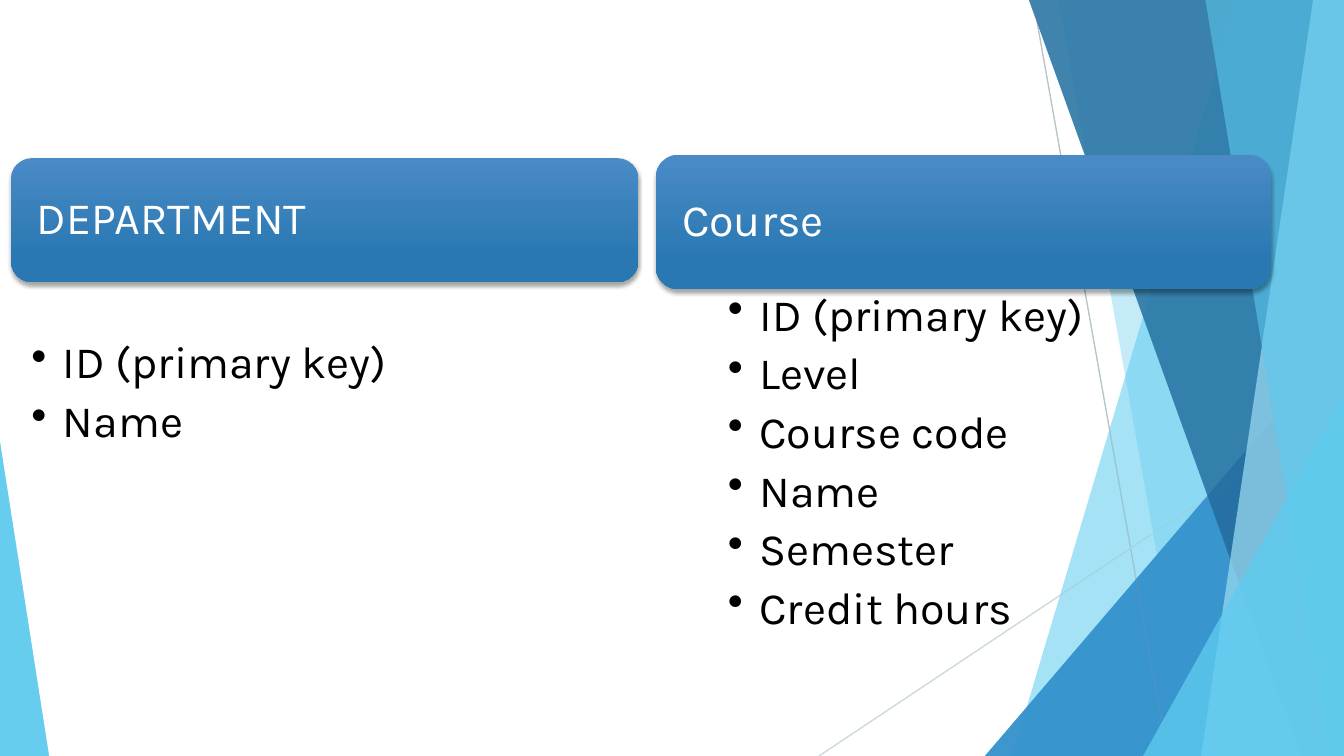
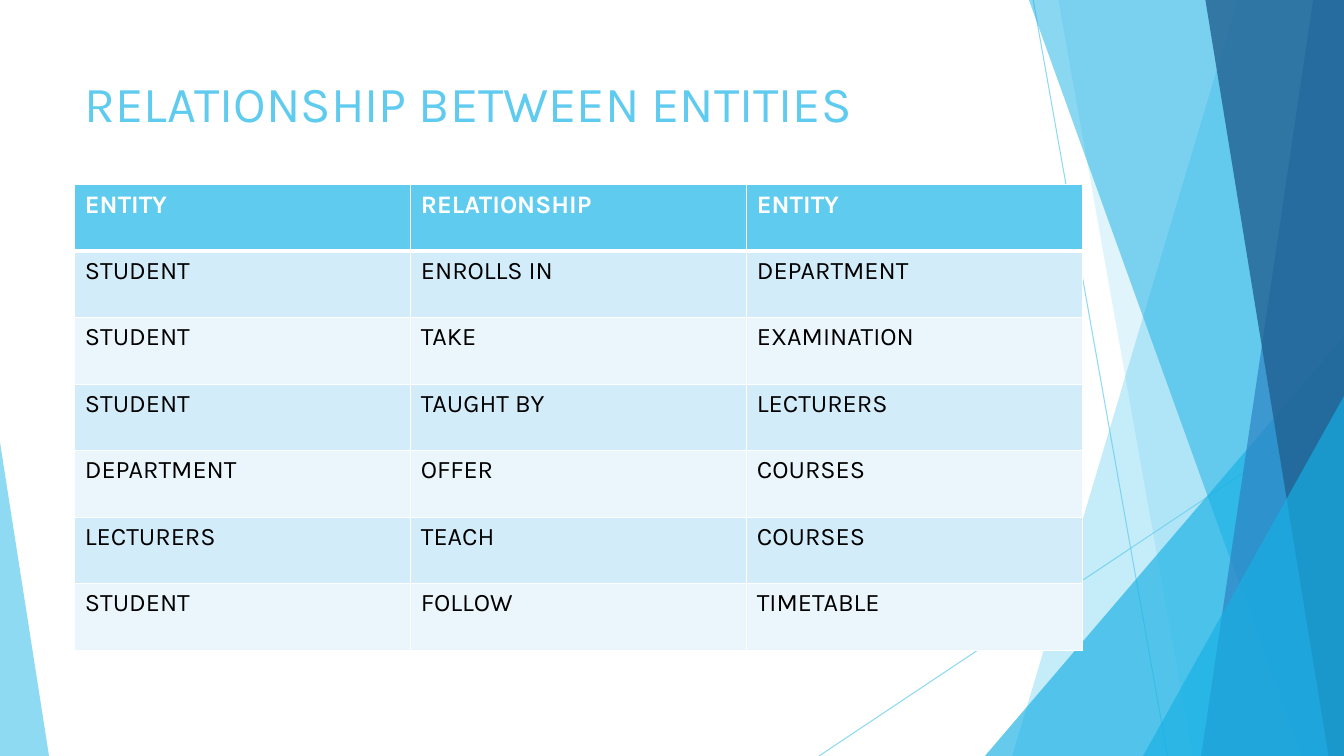
from dataclasses import dataclass

from lxml import etree
from pptx import Presentation
from pptx.dml.color import RGBColor
from pptx.enum import shapes, text
from pptx.oxml import ns
from pptx.util import Pt


@dataclass(frozen=True)
class Theme:
    font: str = "Karla"
    title_size: int = 36
    entity_size: int = 32
    table_size: int = 18
    white: str = "FFFFFF"
    black: str = "000000"
    sky: str = "5FCBEF"
    pale_sky: str = "9FE0F5"
    cyan: str = "17B0E4"
    blue: str = "2E83C3"
    navy: str = "226292"
    silver: str = "BFBFBF"
    light_silver: str = "D9D9D9"
    header_top: str = "4A8BC6"
    header_bottom: str = "2A78B2"
    row_bands: tuple = ("D2ECF9", "EAF6FC")


THEME = Theme()
WIDTH, HEIGHT = 960, 540

# Backdrop pieces, back to front: line ends, band edge (top x, bottom x), wedge box and apex
BACKDROP = (
    ("line", (738, 0, 834, HEIGHT)),
    ("line", (WIDTH, 290, 585, HEIGHT)),
    ("band", (884, 723)),
    ("band", (756, 852)),
    ("wedge", (703.5, 240, 256.5, 300, 1)),
    ("band", (735, 929.5)),
    ("band", (938, 858)),
    ("band", (861, 949)),
    ("wedge", (816.5, 283, 143.5, 257, 1)),
    ("wedge", (0, 316, 35, 224, 0)),
)
# Colour and opacity in percent for each backdrop piece
BASE_SKIN = (
    (THEME.sky, 70), (THEME.sky, 70), (THEME.sky, 36), (THEME.sky, 20), (THEME.cyan, 66),
    (THEME.cyan, 50), (THEME.blue, 70), (THEME.navy, 80), (THEME.cyan, 66), (THEME.sky, 70),
)
OVERLAY_SKIN = (
    (THEME.silver, 100), (THEME.light_silver, 100), (THEME.sky, 30), (THEME.sky, 20),
    (THEME.blue, 72), (THEME.navy, 70), (THEME.pale_sky, 70), (THEME.sky, 65),
    (THEME.sky, 80), (THEME.sky, 85),
)

RELATIONSHIPS = (
    ("ENTITY", "RELATIONSHIP", "ENTITY"),
    ("STUDENT", "ENROLLS IN", "DEPARTMENT"),
    ("STUDENT", "TAKE", "EXAMINATION"),
    ("STUDENT", "TAUGHT BY", "LECTURERS"),
    ("DEPARTMENT", "OFFER", "COURSES"),
    ("LECTURERS", "TEACH", "COURSES"),
    ("STUDENT", "FOLLOW", "TIMETABLE"),
)


def rgb(colour):
    return RGBColor.from_string(colour)


def add_xml(parent, tag, **attributes):
    return etree.SubElement(parent, ns.qn(tag), attributes)


def set_opacity(shape, percent):
    for colour in shape._element.spPr.iter(ns.qn("a:srgbClr")):
        add_xml(colour, "a:alpha", val=str(percent * 1000))


def style_paragraph(paragraph, size, colour, bold=False):
    for run in paragraph.runs:
        run.font.name = THEME.font
        run.font.size = Pt(size)
        run.font.bold = bold
        run.font.color.rgb = rgb(colour)


def add_line(slide, x1, y1, x2, y2):
    line = slide.shapes.add_connector(
        shapes.MSO_CONNECTOR.STRAIGHT, Pt(x1), Pt(y1), Pt(x2), Pt(y2))
    line.line.width = Pt(0.75)
    add_xml(line._element.spPr, "a:effectLst")
    return line


def add_band(slide, top_x, bottom_x):
    """Add a full-height band from a slanted edge to the right side of the slide."""
    outline = slide.shapes.build_freeform(Pt(top_x), 0)
    corners = ((WIDTH, 0), (WIDTH, HEIGHT), (bottom_x, HEIGHT))
    outline.add_line_segments([(Pt(x), Pt(y)) for x, y in corners], close=True)
    return outline.convert_to_shape()


def add_wedge(slide, left, top, width, height, apex):
    wedge = slide.shapes.add_shape(
        shapes.MSO_SHAPE.ISOSCELES_TRIANGLE, Pt(left), Pt(top), Pt(width), Pt(height))
    wedge.adjustments[0] = apex
    return wedge


def add_backdrop(slide, skin):
    builders = {"line": add_line, "band": add_band, "wedge": add_wedge}
    for (kind, geometry), (colour, opacity) in zip(BACKDROP, skin):
        piece = builders[kind](slide, *geometry)
        if kind == "line":
            piece.line.color.rgb = rgb(colour)
        else:
            piece.fill.solid()
            piece.fill.fore_color.rgb = rgb(colour)
            piece.line.fill.background()
            piece.shadow.inherit = False
        if opacity < 100:
            set_opacity(piece, opacity)


def add_title(slide, wording):
    title = slide.shapes.add_textbox(Pt(53.5), Pt(48), Pt(677), Pt(104))
    title.text_frame.word_wrap = True
    title.text_frame.text = wording
    style_paragraph(title.text_frame.paragraphs[0], THEME.title_size, THEME.sky)


def add_drop_shadow(shape):
    shape.shadow.inherit = False
    effects = shape._element.spPr.find(ns.qn("a:effectLst"))
    shadow = add_xml(effects, "a:outerShdw", blurRad=str(Pt(3)), dist=str(Pt(2)),
                     dir="5400000", algn="ctr", rotWithShape="0")
    colour = add_xml(shadow, "a:srgbClr", val=THEME.black)
    add_xml(colour, "a:alpha", val="35000")


def add_entity_header(slide, name, left, top, width, height):
    header = slide.shapes.add_shape(
        shapes.MSO_SHAPE.ROUNDED_RECTANGLE, Pt(left), Pt(top), Pt(width), Pt(height))
    header.fill.gradient()
    header.fill.gradient_angle = 270
    stops = ((0, THEME.header_top), (0.78, THEME.header_bottom))
    for stop, (position, colour) in zip(header.fill.gradient_stops, stops):
        stop.position = position
        stop.color.rgb = rgb(colour)
    header.line.fill.background()
    add_drop_shadow(header)
    frame = header.text_frame
    frame.text = name
    frame.word_wrap = True
    frame.vertical_anchor = text.MSO_ANCHOR.MIDDLE
    frame.margin_left = frame.margin_right = Pt(14)
    paragraph = frame.paragraphs[0]
    paragraph.alignment = text.PP_ALIGN.LEFT
    paragraph.line_spacing = 0.9
    style_paragraph(paragraph, THEME.entity_size, THEME.white)


def add_attributes(slide, attributes, left, top, width, height, inset):
    listing = slide.shapes.add_textbox(Pt(left), Pt(top), Pt(width), Pt(height))
    frame = listing.text_frame
    frame.word_wrap = True
    frame.margin_left, frame.margin_right = Pt(inset), Pt(18)
    frame.margin_top = frame.margin_bottom = Pt(3)
    frame.text = "\n".join(attributes)
    for paragraph in frame.paragraphs:
        paragraph.line_spacing = 0.9
        paragraph.space_after = Pt(7.25)
        style_paragraph(paragraph, THEME.entity_size, THEME.black)
        properties = paragraph._p.get_or_add_pPr()
        properties.set("marL", str(Pt(22.5)))
        properties.set("indent", str(-Pt(22.5)))
        add_xml(properties, "a:buChar", char="•")


def set_cell_borders(cell, top, bottom):
    properties = cell._tc.get_or_add_tcPr()
    for side, width in (("L", 1), ("R", 1), ("T", top), ("B", bottom)):
        border = add_xml(properties, f"a:ln{side}", w=str(Pt(width)))
        fill = add_xml(border, "a:solidFill")
        add_xml(fill, "a:srgbClr", val=THEME.white)


def add_relationship_table(slide, rows, left, top, column_width, row_height):
    columns = len(rows[0])
    table = slide.shapes.add_table(
        len(rows), columns, Pt(left), Pt(top),
        Pt(column_width * columns), Pt(row_height * len(rows))).table
    for row_index, row in enumerate(rows):
        is_header = row_index == 0
        fill = THEME.sky if is_header else THEME.row_bands[(row_index - 1) % 2]
        colour = THEME.white if is_header else THEME.black
        for column_index, wording in enumerate(row):
            cell = table.cell(row_index, column_index)
            set_cell_borders(cell, 3 if row_index == 1 else 1, 3 if is_header else 1)
            cell.fill.solid()
            cell.fill.fore_color.rgb = rgb(fill)
            cell.text_frame.text = wording
            style_paragraph(cell.text_frame.paragraphs[0], THEME.table_size, colour, is_header)


def add_slide(deck):
    slide = deck.slides.add_slide(deck.slide_layouts[6])
    add_backdrop(slide, BASE_SKIN)
    return slide


def build_entities(deck):
    slide = add_slide(deck)
    add_backdrop(slide, OVERLAY_SKIN)
    add_entity_header(slide, "DEPARTMENT", 8, 113, 448, 88.5)
    add_attributes(slide, ("ID (primary key)", "Name"), 8, 240, 448, 85, 14.5)
    add_entity_header(slide, "Course", 468.5, 110.5, 439.5, 96)
    add_attributes(
        slide,
        ("ID (primary key)", "Level", "Course code", "Name", "Semester", "Credit hours"),
        503.5, 206, 439.5, 249, 16.5)


def build_relationships(deck):
    slide = add_slide(deck)
    add_title(slide, "RELATIONSHIP BETWEEN ENTITIES")
    add_relationship_table(slide, RELATIONSHIPS, 53.5, 132, 240, 47.5)


def main():
    deck = Presentation()
    deck.slide_width, deck.slide_height = Pt(WIDTH), Pt(HEIGHT)
    build_entities(deck)
    build_relationships(deck)
    deck.save("out.pptx")


if __name__ == "__main__":
    main()
